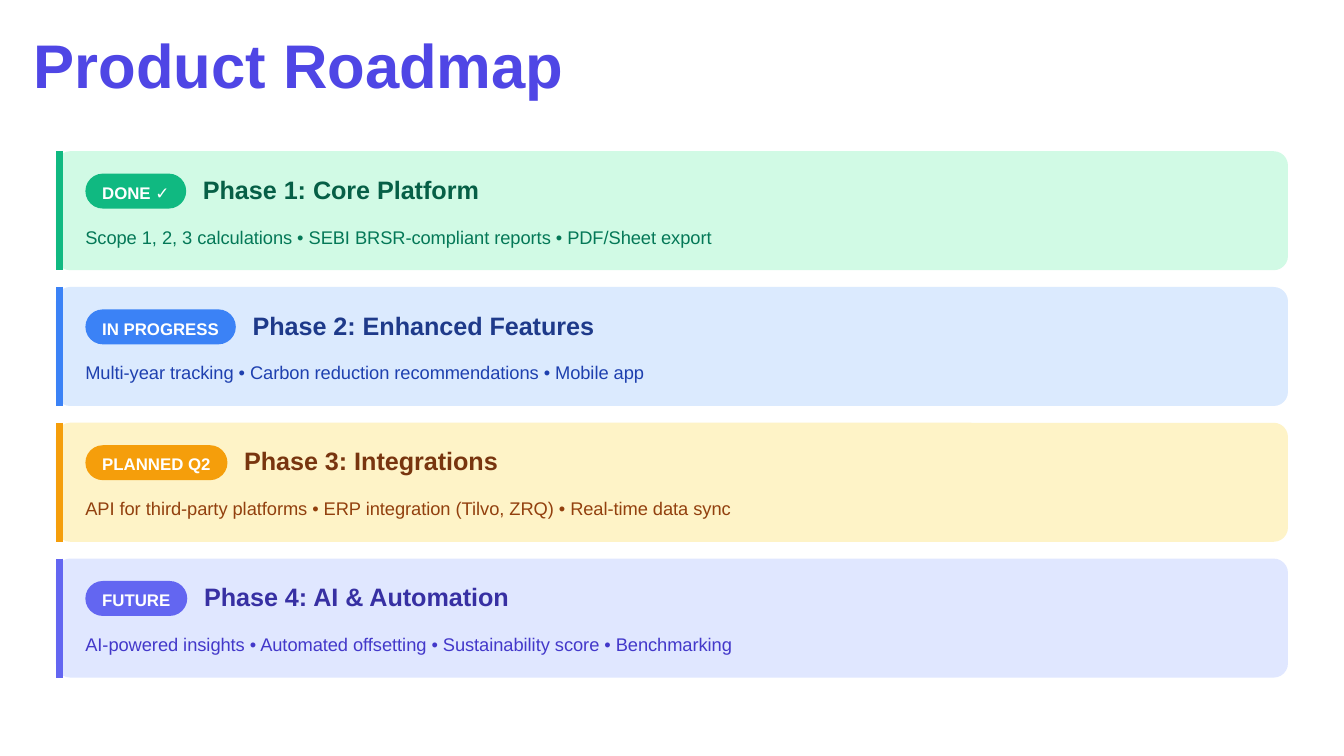
"""Build the product roadmap slide with four phase cards."""

from dataclasses import dataclass

from lxml.etree import SubElement
from pptx import Presentation
from pptx.dml.color import RGBColor
from pptx.enum.shapes import MSO_CONNECTOR, MSO_SHAPE
from pptx.oxml.ns import qn
from pptx.slide import Slide
from pptx.util import Pt

COLOURS = {
    "title": "4F46E5",
    "white": "FFFFFF",
    "done_card": "D1FAE5",
    "done_accent": "10B981",
    "done_heading": "065F46",
    "done_detail": "047857",
    "progress_card": "DBEAFE",
    "progress_accent": "3B82F6",
    "progress_heading": "1E3A8A",
    "progress_detail": "1E40AF",
    "planned_card": "FEF3C7",
    "planned_accent": "F59E0B",
    "planned_heading": "78350F",
    "planned_detail": "92400E",
    "future_card": "E0E7FF",
    "future_accent": "6366F1",
    "future_heading": "3730A3",
    "future_detail": "4338CA",
}

CARD_LEFT, CARD_TOP, CARD_WIDTH, CARD_HEIGHT = 30, 81, 660, 63.75
CARD_PITCH = 72.75
ACCENT_WIDTH = 3.75
CONTENT_LEFT = 45.75
BADGE_HEIGHT = 18.75
BADGE_PADDING = 9


@dataclass(frozen=True)
class Phase:
    """One roadmap phase and the width of its status badge."""

    theme: str
    status: str
    badge_width: float
    heading: str
    heading_width: float
    detail: str


@dataclass(frozen=True)
class TextStyle:
    """Type size, line spacing and weight of one kind of text."""

    size: float
    spacing: float
    bold: bool = True


TITLE = TextStyle(33, 33)
STATUS = TextStyle(9, 12.6)
HEADING = TextStyle(13.5, 15)
DETAIL = TextStyle(9.75, 13.7, False)

PHASES = [
    Phase("done", "DONE ✓", 54, "Phase 1: Core Platform", 151,
          "Scope 1, 2, 3 calculations • SEBI BRSR-compliant reports • PDF/Sheet export"),
    Phase("progress", "IN PROGRESS", 80.6, "Phase 2: Enhanced Features", 187,
          "Multi-year tracking • Carbon reduction recommendations • Mobile app"),
    Phase("planned", "PLANNED Q2", 76.1, "Phase 3: Integrations", 139,
          "API for third-party platforms • ERP integration (Tilvo, ZRQ) • Real-time data sync"),
    Phase("future", "FUTURE", 54.6, "Phase 4: AI & Automation", 167,
          "AI-powered insights • Automated offsetting • Sustainability score • Benchmarking"),
]


def colour(name: str) -> RGBColor:
    """Return the named colour."""
    return RGBColor.from_string(COLOURS[name])


def add_text(slide: Slide, text: str, left: float, top: float, width: float,
             height: float, style: TextStyle, colour_name: str) -> None:
    """Add a single line of text without margins."""
    frame = slide.shapes.add_textbox(Pt(left), Pt(top), Pt(width), Pt(height)).text_frame
    frame.word_wrap = True
    frame.margin_left = frame.margin_right = frame.margin_top = frame.margin_bottom = 0
    paragraph = frame.paragraphs[0]
    paragraph.text = text
    paragraph.line_spacing = Pt(style.spacing)
    paragraph.font.name = "Arial"
    paragraph.font.size = Pt(style.size)
    paragraph.font.bold = style.bold
    paragraph.font.color.rgb = colour(colour_name)


def add_rounded_box(slide: Slide, left: float, top: float, width: float,
                    height: float, rounding: float, colour_name: str) -> None:
    """Add a filled rounded rectangle without an outline."""
    shape = slide.shapes.add_shape(
        MSO_SHAPE.ROUNDED_RECTANGLE, Pt(left), Pt(top), Pt(width), Pt(height))
    shape.adjustments[0] = rounding
    shape.shadow.inherit = False
    shape.fill.solid()
    shape.fill.fore_color.rgb = colour(colour_name)
    shape.line.fill.background()


def add_accent(slide: Slide, top: float, colour_name: str) -> None:
    """Add the thick line along the left edge of a card."""
    centre = Pt(CARD_LEFT + ACCENT_WIDTH / 2)
    connector = slide.shapes.add_connector(
        MSO_CONNECTOR.STRAIGHT, centre, Pt(top), centre, Pt(top + CARD_HEIGHT))
    connector.line.width = Pt(ACCENT_WIDTH)
    connector.line.color.rgb = colour(colour_name)
    SubElement(connector._element.spPr, qn("a:effectLst"))


def add_phase(slide: Slide, phase: Phase, top: float) -> None:
    """Draw one phase card with its badge, heading and detail."""
    accent = f"{phase.theme}_accent"
    add_rounded_box(slide, CARD_LEFT, top, CARD_WIDTH, CARD_HEIGHT, 0.12,
                    f"{phase.theme}_card")
    add_accent(slide, top, accent)
    add_rounded_box(slide, CONTENT_LEFT, top + 12, phase.badge_width, BADGE_HEIGHT,
                    0.5, accent)
    add_text(slide, phase.status, CONTENT_LEFT + BADGE_PADDING, top + 15,
             phase.badge_width - BADGE_PADDING, 12.6, STATUS, "white")
    add_text(slide, phase.heading, CONTENT_LEFT + phase.badge_width + BADGE_PADDING,
             top + 13.5, phase.heading_width, 15, HEADING, f"{phase.theme}_heading")
    add_text(slide, phase.detail, CONTENT_LEFT, top + 38, 645, 13.7, DETAIL,
             f"{phase.theme}_detail")


def main() -> None:
    """Build and save the presentation."""
    presentation = Presentation()
    presentation.slide_width = Pt(720)
    presentation.slide_height = Pt(405)
    slide = presentation.slides.add_slide(presentation.slide_layouts[6])
    add_text(slide, "Product Roadmap", 18, 21, 350, 33, TITLE, "title")
    for index, phase in enumerate(PHASES):
        add_phase(slide, phase, CARD_TOP + index * CARD_PITCH)
    presentation.save("out.pptx")


if __name__ == "__main__":
    main()
